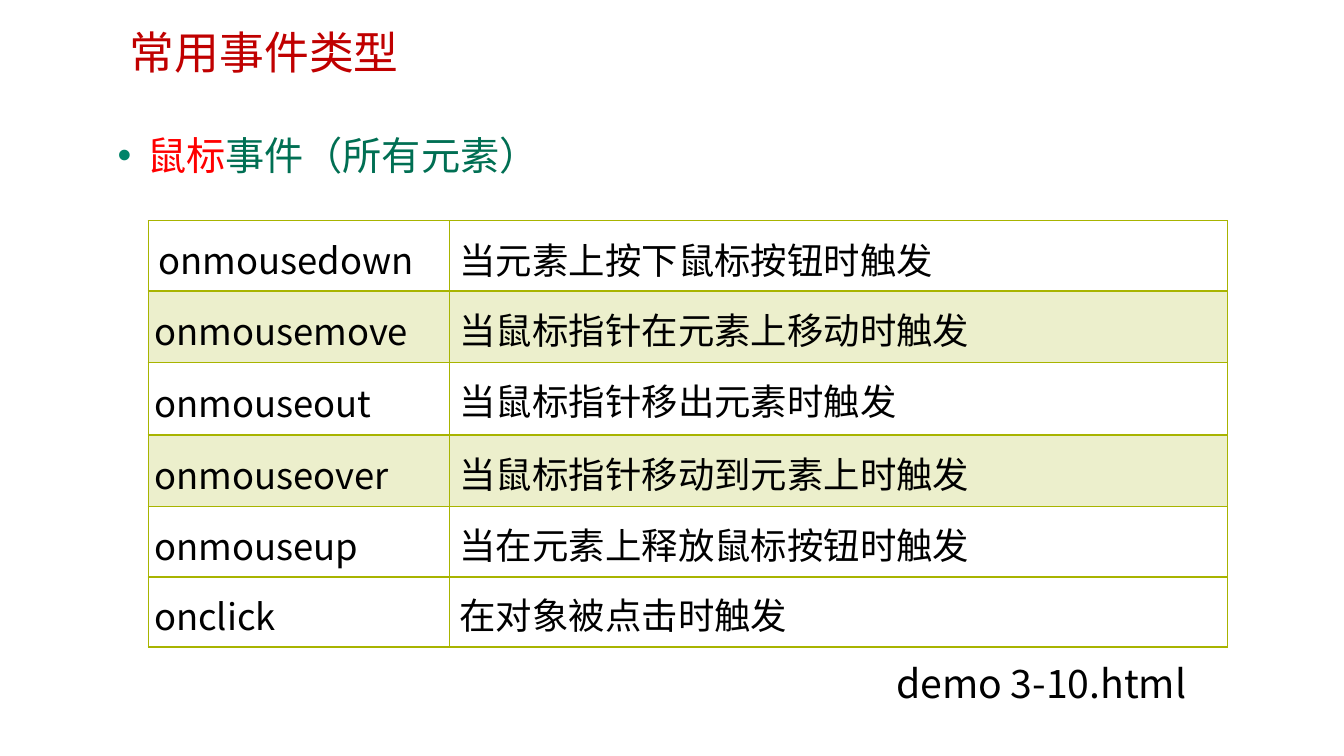
from dataclasses import dataclass

from lxml import etree
from pptx import Presentation
from pptx.dml.color import RGBColor
from pptx.enum.text import MSO_ANCHOR
from pptx.oxml.ns import qn
from pptx.util import Pt

BLACK = RGBColor(0x00, 0x00, 0x00)
RED = RGBColor(0xFF, 0x00, 0x00)
DARK_RED = RGBColor(0xC0, 0x00, 0x00)
GREEN = RGBColor(0x00, 0x6F, 0x53)
BULLET_GREEN = RGBColor(0x00, 0x84, 0x69)
OLIVE = RGBColor(0xA8, 0xB4, 0x00)
PALE_OLIVE = RGBColor(0xEC, 0xEF, 0xCC)
CJK = "Noto Sans CJK SC"

TABLE_LEFT = 105.8
COLUMNS = (215.3, 555.8)
DEFAULT_INSETS = (7.2, 3.6, 7.2, 3.6)
NAME_INSETS = (4.3, 4.3, 11.5, 4.3)


@dataclass
class Event:
    """One row: event name, description and row format."""
    name: str
    description: str
    height: float
    shaded: bool = False
    bottom: float = 1
    font: str = "Arial"
    insets: tuple = NAME_INSETS
    anchor: MSO_ANCHOR = MSO_ANCHOR.MIDDLE


EVENTS = [
    Event("onmousedown", "当元素上按下鼠标按钮时触发", 50, bottom=2,
          insets=DEFAULT_INSETS, anchor=MSO_ANCHOR.TOP),
    Event("onmousemove", "当鼠标指针在元素上移动时触发", 51, shaded=True),
    Event("onmouseout", "当鼠标指针移出元素时触发", 52),
    Event("onmouseover", "当鼠标指针移动到元素上时触发", 51, shaded=True),
    Event("onmouseup", "当在元素上释放鼠标按钮时触发", 50, font="Karla"),
]
CLICK = [Event("onclick", "在对象被点击时触发", 50, bottom=2)]


def add_run(p, text: str, *, size: float, color: RGBColor, font: str = CJK) -> None:
    """Append formatted text, with the CJK font for East Asian glyphs."""
    r = p.add_run()
    r.text = text
    r.font.size = Pt(size)
    r.font.name = font
    r.font.color.rgb = color
    etree.SubElement(r.font._element, qn("a:ea"), typeface=CJK)


def add_box(s, left: float, top: float, width: float, height: float):
    """Add a wrapping text box and return its first paragraph."""
    tf = s.shapes.add_textbox(Pt(left), Pt(top), Pt(width), Pt(height)).text_frame
    tf.word_wrap = True
    return tf.paragraphs[0]


def add_bullet(p, indent: float, color: RGBColor) -> None:
    """Give a paragraph a round bullet and a hanging indent."""
    pPr = p._p.get_or_add_pPr()
    pPr.set("marL", str(Pt(indent)))
    pPr.set("indent", str(-Pt(indent)))
    clr = etree.SubElement(pPr, qn("a:buClr"))
    etree.SubElement(clr, qn("a:srgbClr"), val=str(color))
    etree.SubElement(pPr, qn("a:buFont"), typeface="Arial")
    etree.SubElement(pPr, qn("a:buChar"), char="•")


def set_borders(cell, top: float, bottom: float) -> None:
    """Draw the four cell borders, placed ahead of the cell fill."""
    tcPr = cell._tc.get_or_add_tcPr()
    sides = (("lnL", 1), ("lnR", 1), ("lnT", top), ("lnB", bottom))
    for i, (side, width) in enumerate(sides):
        ln = etree.Element(qn(f"a:{side}"), w=str(Pt(width)))
        fill = etree.SubElement(ln, qn("a:solidFill"))
        etree.SubElement(fill, qn("a:srgbClr"), val=str(OLIVE))
        tcPr.insert(i, ln)


def fill_cell(cell, text: str, font: str, insets: tuple, anchor: MSO_ANCHOR) -> None:
    """Write one line of text into a table cell."""
    (cell.margin_left, cell.margin_top,
     cell.margin_right, cell.margin_bottom) = map(Pt, insets)
    cell.vertical_anchor = anchor
    p = cell.text_frame.paragraphs[0]
    p.line_spacing = Pt(42)
    p.space_before = p.space_after = Pt(6)
    add_run(p, text, size=26, color=BLACK, font=font)


def add_events(s, top: float, events: list[Event]) -> None:
    """Add a two-column table of events."""
    height = sum(event.height for event in events)
    table = s.shapes.add_table(len(events), len(COLUMNS), Pt(TABLE_LEFT), Pt(top),
                               Pt(sum(COLUMNS)), Pt(height)).table
    table.first_row = table.horz_banding = False
    for column, width in zip(table.columns, COLUMNS):
        column.width = Pt(width)
    line_above = 1
    for row, event in zip(table.rows, events):
        row.height = Pt(event.height)
        name, description = row.cells
        fill_cell(name, event.name, CJK, event.insets, event.anchor)
        fill_cell(description, event.description, event.font,
                  DEFAULT_INSETS, MSO_ANCHOR.TOP)
        for cell in (name, description):
            if event.shaded:
                cell.fill.solid()
                cell.fill.fore_color.rgb = PALE_OLIVE
            else:
                cell.fill.background()
            set_borders(cell, line_above, event.bottom)
        line_above = event.bottom


prs = Presentation()
prs.slide_width, prs.slide_height = Pt(960), Pt(540)
s = prs.slides.add_slide(prs.slide_layouts[6])

heading = add_box(s, 77, 80, 574, 366)
heading.line_spacing = 1.3
add_bullet(heading, 21, BULLET_GREEN)
add_run(heading, "鼠标", size=28, color=RED)
add_run(heading, "事件（所有元素）", size=28, color=GREEN)

title = add_box(s, 85.7, 18.7, 645, 39)
title.line_spacing = 0.9
add_run(title, "常用事件类型", size=32, color=DARK_RED)

add_events(s, 157.7, EVENTS)
add_events(s, 411.5, CLICK)

demo = add_box(s, 633, 467.3, 244, 41)
add_run(demo, "demo 3-10.html", size=28, color=BLACK)

prs.save("out.pptx")
